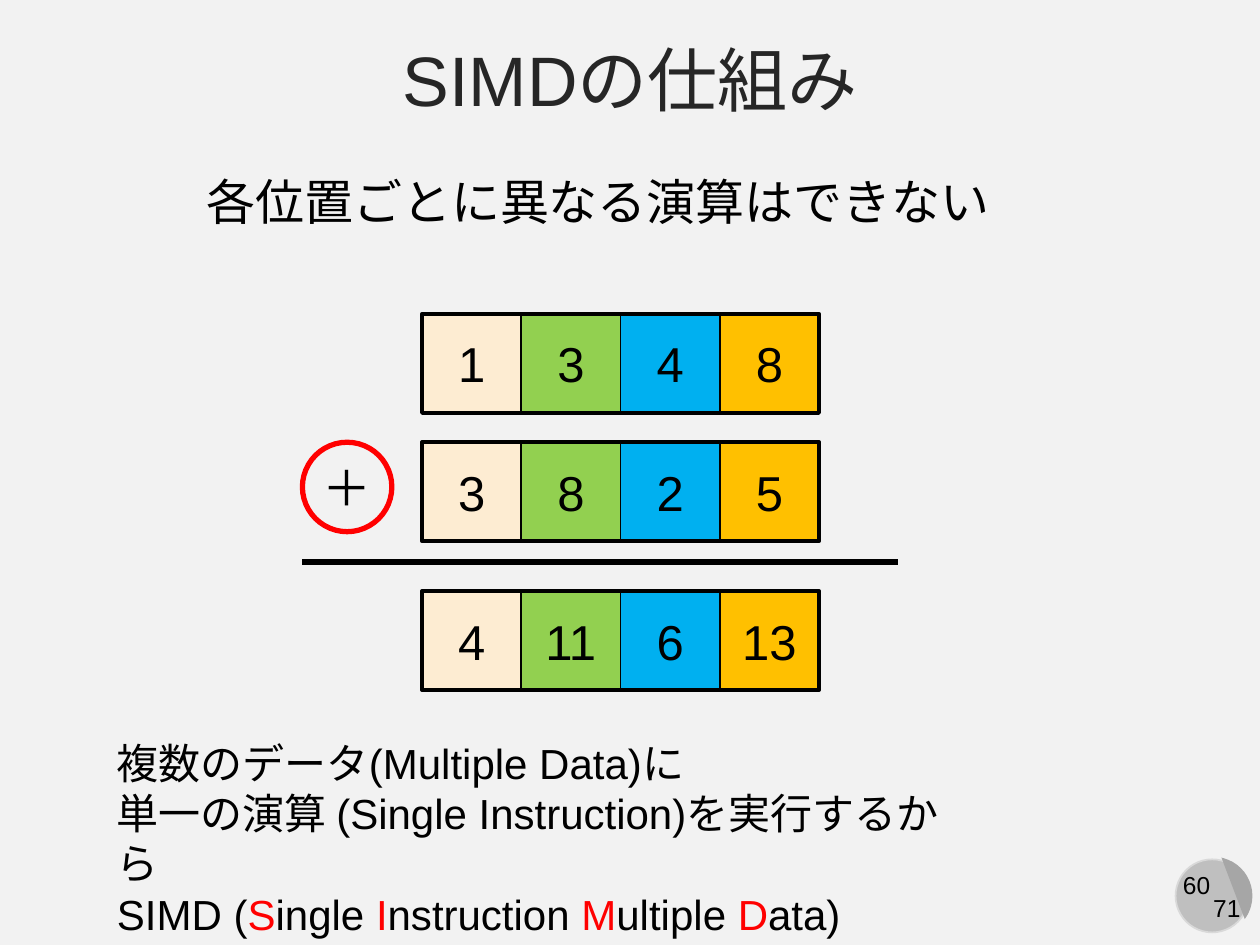
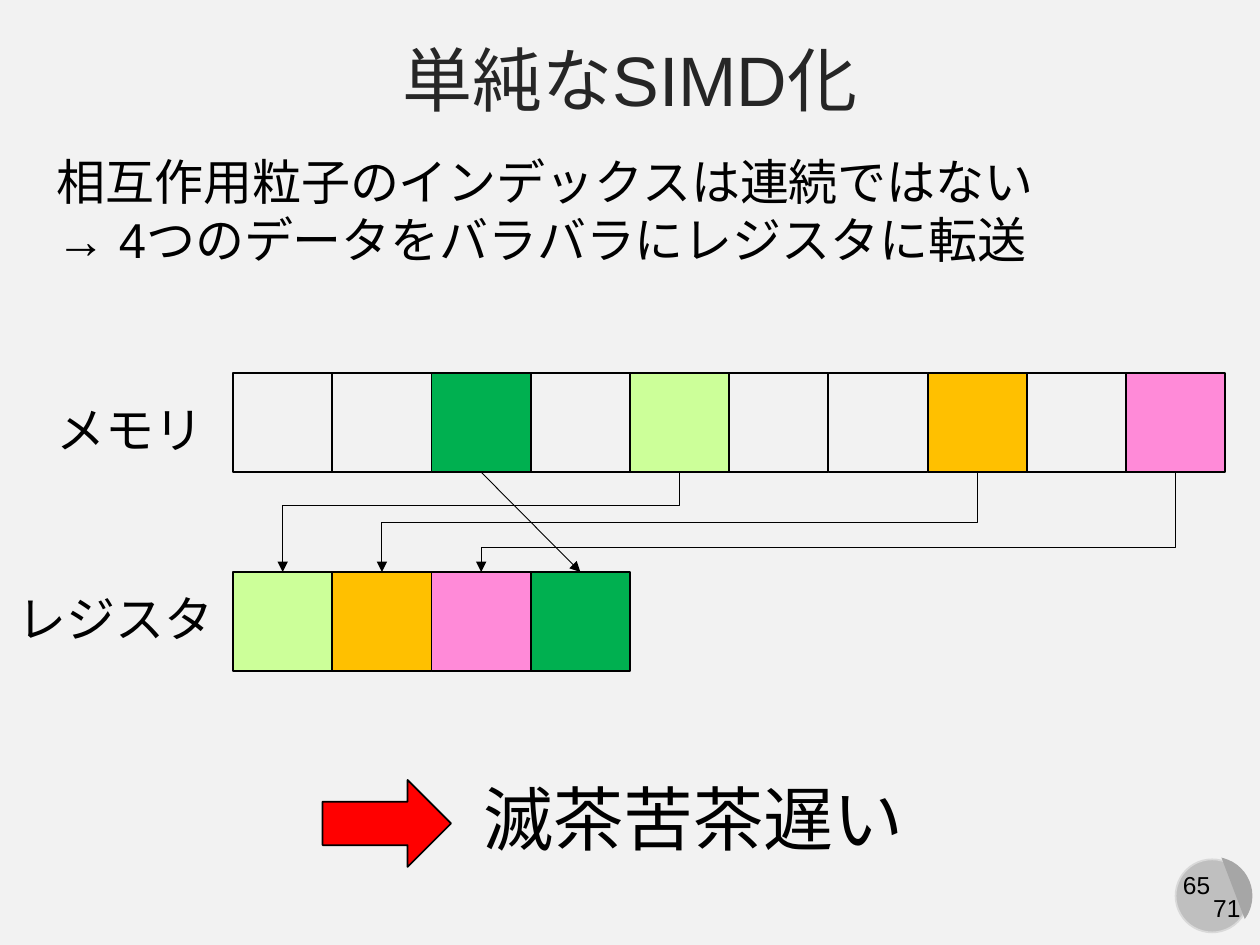
from lxml import etree
from pptx import Presentation
from pptx.dml.color import RGBColor
from pptx.enum.lang import MSO_LANGUAGE_ID as LANGUAGE
from pptx.enum.shapes import MSO_CONNECTOR as CONNECTOR, MSO_SHAPE as SHAPE
from pptx.enum.text import MSO_ANCHOR as ANCHOR, PP_ALIGN as ALIGN
from pptx.oxml.ns import qn
from pptx.util import Inches, Pt

FONT = "Arial"
BACKGROUND, INK, TITLE_INK, RED = "F2F2F2", "000000", "262626", "FF0000"
BEIGE, GREEN, BLUE, ORANGE = "FDECD2", "92D050", "00B0F0", "FFC000"
DARK_GREEN, LIME, PINK = "00B050", "CCFF99", "FF8AD8"
CELL = 3.15 / 4
TOTAL_PAGES = "71"


def format_text(text_frame, size, align=ALIGN.LEFT, color=INK):
    text_frame.word_wrap = True
    for paragraph in text_frame.paragraphs:
        paragraph.alignment = align
        for run in paragraph.runs:
            run.font.name = FONT
            run.font.size = Pt(size)
            run.font.color.rgb = RGBColor.from_string(color)
            run.font.language_id = LANGUAGE.JAPANESE


def add_box(slide, kind, left, top, width, height, fill=None, line=INK, weight=1):
    shape = slide.shapes.add_shape(kind, Inches(left), Inches(top), Inches(width), Inches(height))
    shape.shadow.inherit = False
    if fill:
        shape.fill.solid()
        shape.fill.fore_color.rgb = RGBColor.from_string(fill)
    else:
        shape.fill.background()
    if line:
        shape.line.color.rgb = RGBColor.from_string(line)
        shape.line.width = Pt(weight)
    else:
        shape.line.fill.background()
    return shape


presentation = Presentation()
presentation.slide_width = Inches(10)
presentation.slide_height = Inches(7.5)
background = presentation.slide_master.background.fill
background.solid()
background.fore_color.rgb = RGBColor.from_string(BACKGROUND)

pages = [
    ("SIMDの仕組み", "60", [
        ("各位置ごとに異なる演算はできない", 1.54, 1.31, 6.48, 0.57, 28),
        ("＋", 2.46, 3.58, 0.59, 0.57, 28),
    ]),
    ("単純なSIMD化", "65", [
        ("相互作用粒子のインデックスは連続ではない\n→ 4つのデータをバラバラにレジスタに転送", 0.35, 1.15, 8.06, 1.04, 28),
        ("メモリ", 0.35, 3.12, 1.38, 0.57, 28),
        ("レジスタ", 0.04, 4.62, 1.77, 0.57, 28),
        ("滅茶苦茶遅い", 3.74, 6.11, 3.57, 0.77, 40),
    ]),
]
for title_text, number, labels in pages:
    slide = presentation.slides.add_slide(presentation.slide_layouts[5])
    title = slide.shapes.title
    title.left, title.top, title.width, title.height = Inches(0), Inches(0.21), Inches(10), Inches(0.82)
    title.text_frame.text = title_text
    title.text_frame.vertical_anchor = ANCHOR.MIDDLE
    format_text(title.text_frame, 40, ALIGN.CENTER, TITLE_INK)

    add_box(slide, SHAPE.OVAL, 9.33, 6.82, 0.58, 0.58, "BFBFBF", "D9D9D9")
    chord = add_box(slide, SHAPE.CHORD, 9.32, 6.8, 0.62, 0.62, "A6A6A6", None)
    chord.adjustments[0] = 16.2
    chord.adjustments[1] = 84.85
    chord.rotation = 255
    badge = [(number, 9.29, 6.86, 0.44, 0.34, 14), (TOTAL_PAGES, 9.53, 7.04, 0.42, 0.34, 14)]
    for text, left, top, width, height, size in badge + labels:
        label = slide.shapes.add_textbox(Inches(left), Inches(top), Inches(width), Inches(height))
        label.text_frame.text = text
        format_text(label.text_frame, size)

mechanism, transfer = presentation.slides

operand_rows = [(2.49, [1, 3, 4, 8]), (3.51, [3, 8, 2, 5]), (4.69, [4, 11, 6, 13])]
for top, values in operand_rows:
    for column, (value, color) in enumerate(zip(values, [BEIGE, GREEN, BLUE, ORANGE])):
        cell = add_box(mechanism, SHAPE.RECTANGLE, 3.35 + column * CELL, top, CELL, CELL, color)
        text_frame = cell.text_frame
        text_frame.margin_left = text_frame.margin_right = 0
        text_frame.vertical_anchor = ANCHOR.MIDDLE
        text_frame.text = str(value)
        format_text(text_frame, 28, ALIGN.CENTER)
    add_box(mechanism, SHAPE.RECTANGLE, 3.35, top, 4 * CELL, CELL, weight=2.25)
add_box(mechanism, SHAPE.OVAL, 2.4, 3.51, 0.71, 0.71, line=RED, weight=3)

sum_line = mechanism.shapes.add_connector(
    CONNECTOR.STRAIGHT, Inches(2.4), Inches(4.46), Inches(7.13), Inches(4.46))
sum_line.line.width = Pt(3)

summary = mechanism.shapes.add_textbox(Inches(0.83), Inches(5.8), Inches(6.9), Inches(1.31))
summary.text_frame.text = "複数のデータ(Multiple Data)に\n単一の演算 (Single Instruction)を実行するから\nSIMD ("
acronym = summary.text_frame.paragraphs[-1]
for word in ["Single ", "Instruction ", "Multiple ", "Data)"]:
    acronym.add_run().text = word[0]
    acronym.add_run().text = word[1:]
format_text(summary.text_frame, 24)
for initial in acronym.runs[1::2]:
    initial.font.color.rgb = RGBColor.from_string(RED)

memory_colors = [None, None, DARK_GREEN, None, LIME, None, None, ORANGE, None, PINK]
register_colors = [LIME, ORANGE, PINK, DARK_GREEN]
memory, register = [
    [add_box(transfer, SHAPE.RECTANGLE, 1.85 + column * CELL, top, CELL, CELL, color)
     for column, color in enumerate(colors)]
    for top, colors in [(2.96, memory_colors), (4.54, register_colors)]
]

direct = transfer.shapes.add_connector(CONNECTOR.STRAIGHT, 0, 0, 0, 0)
direct.begin_connect(memory[2], 2)
direct.end_connect(register[3], 0)
arrows = [direct]
for source, target, bend in [(4, 0, 33800), (9, 2, 75100), (7, 1, 50000)]:
    start, end = memory[source], register[target]
    start_x, end_x = start.left + start.width // 2, end.left + end.width // 2
    start_y, end_y = start.top + start.height, end.top
    drop, run_length = end_y - start_y, start_x - end_x
    left = (start_x + end_x - drop) // 2
    top = (start_y + end_y - run_length) // 2
    elbow = transfer.shapes.add_connector(CONNECTOR.ELBOW, left, top, left + drop, top + run_length)
    properties = elbow._element.spPr
    properties.find(qn("a:xfrm")).set("rot", "5400000")
    guides = properties.find(qn("a:prstGeom")).find(qn("a:avLst"))
    etree.SubElement(guides, qn("a:gd"), name="adj1", fmla=f"val {bend}")
    arrows.append(elbow)

for connector in arrows + [sum_line]:
    connector.line.color.rgb = RGBColor.from_string(INK)
    if connector is not sum_line:
        connector.line.width = Pt(0.5)
        etree.SubElement(connector.line._get_or_add_ln(), qn("a:tailEnd"), type="triangle")
    etree.SubElement(connector._element.spPr, qn("a:effectLst"))

add_box(transfer, SHAPE.RIGHT_ARROW, 2.56, 6.19, 1.02, 0.69, RED)

presentation.save("out.pptx")
